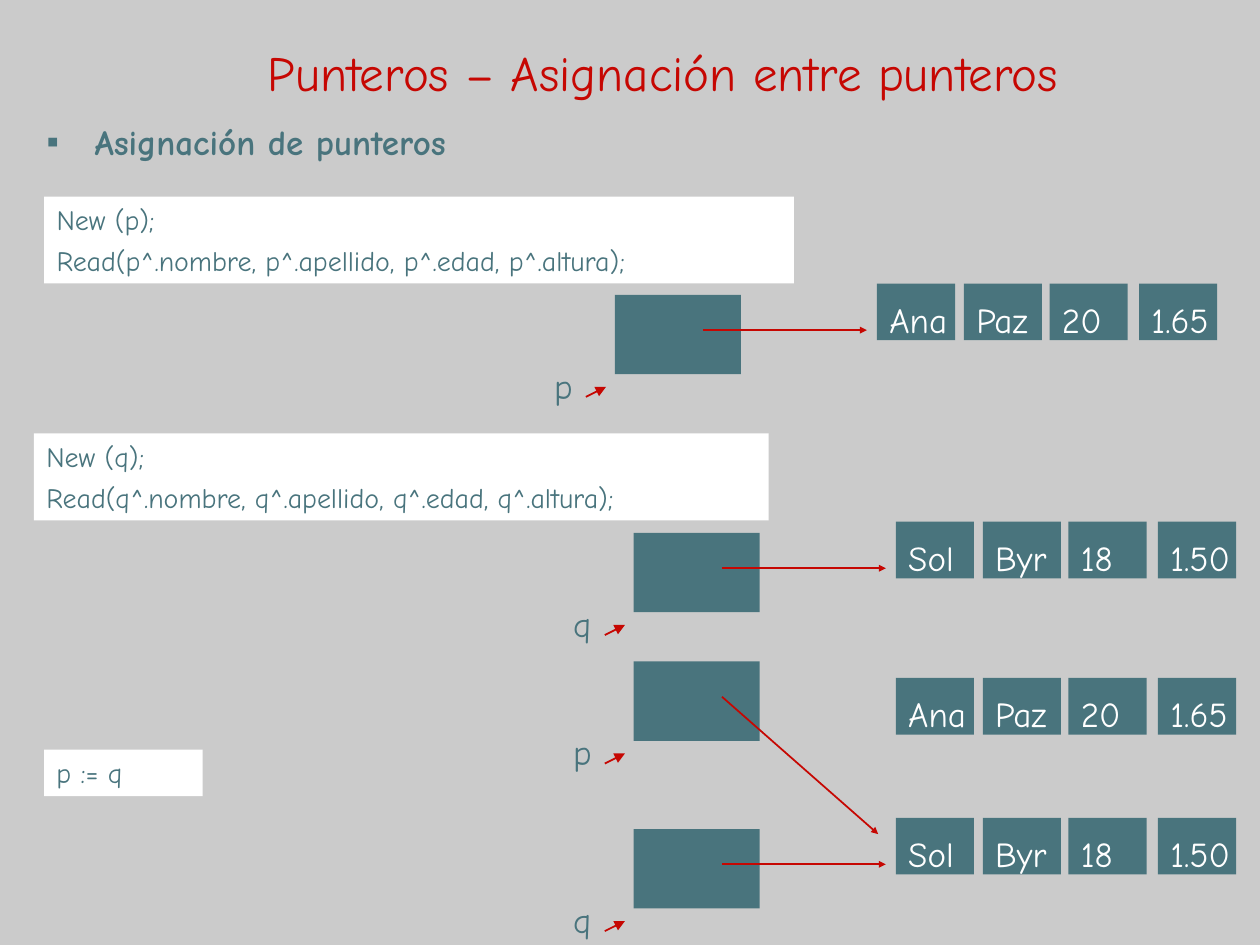
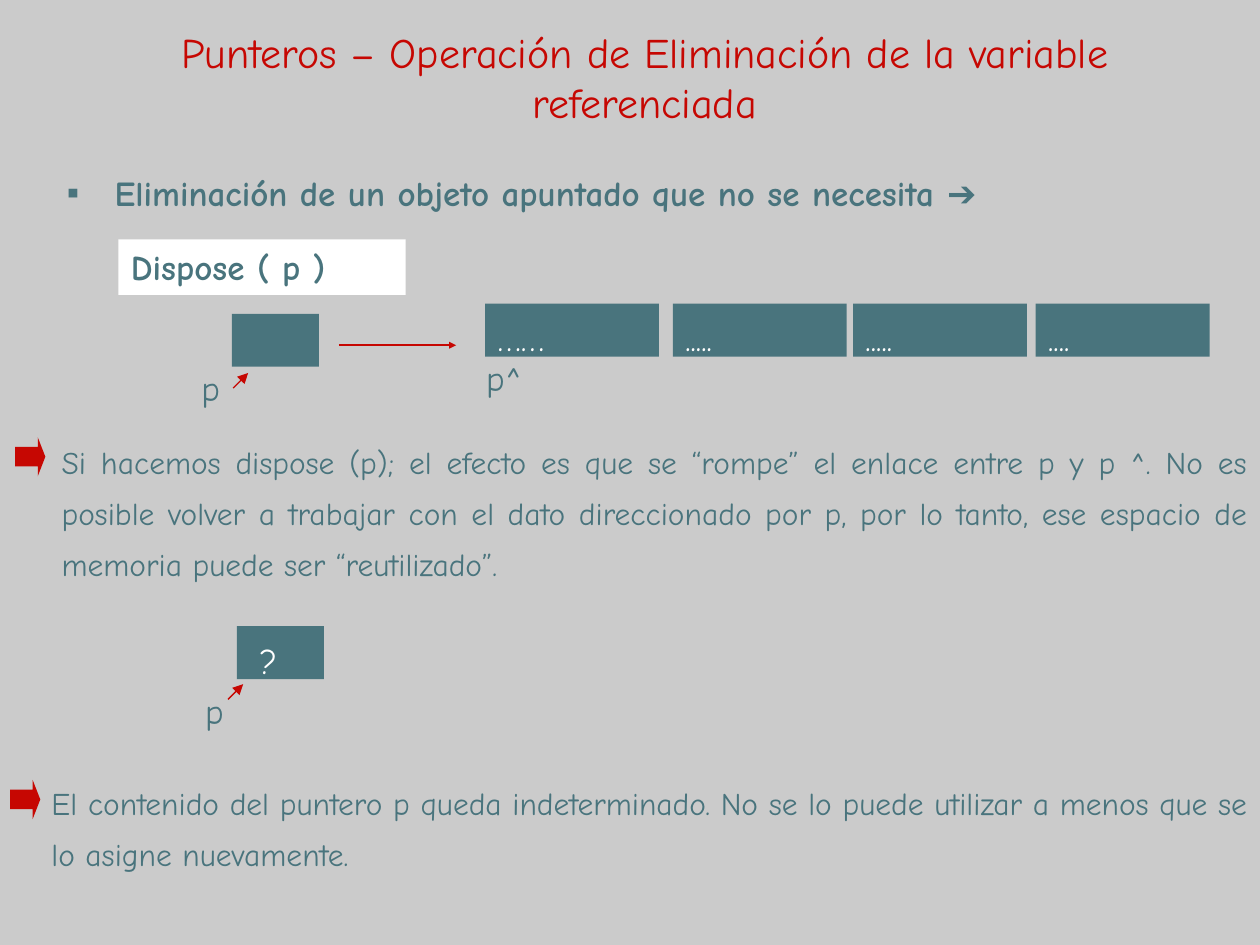
from lxml import etree
from pptx import Presentation
from pptx.dml.color import RGBColor
from pptx.enum import shapes, text
from pptx.oxml.ns import qn
from pptx.util import Inches, Pt

BACK, TEAL, RED, WHITE = "CBCBCB", "49747D", "C60702", "FFFFFF"
FONT, SYMBOL_FONT = "Comic Neue", "Arial"
ALIGN = text.PP_ALIGN

ASSIGNMENT = {
    "title": "Punteros – Asignación entre punteros",
    "title_at": (1.53, 0.25, 7.46, 0.64), "title_size": 28,
    "topic": [("Asignación de punteros", FONT)],
    "topic_at": (0.27, 0.91, 4.06, 0.66),
}
DISPOSAL = {
    "title": "Punteros – Operación de Eliminación de la variable referenciada",
    "title_at": (0.47, 0.21, 9.29, 0.8), "title_size": 24,
    "topic": [("Eliminación de un objeto apuntado que no se necesita ", FONT),
              ("➔", SYMBOL_FONT)],
    "topic_at": (0.43, 1.31, 9.14, 0.51),
}

CODE = [
    ((0.35, 1.56, 5.95, 0.69),
     ["New (p);", "Read(p^.nombre, p^.apellido, p^.edad, p^.altura);"]),
    ((0.27, 3.44, 5.83, 0.69),
     ["New (q);", "Read(q^.nombre, q^.apellido, q^.edad, q^.altura);"]),
    ((0.35, 5.95, 1.26, 0.37), ["p := q"]),
]
ANA = ["Ana", "Paz", "20", "1.65"]
SOL = ["Sol", "Byr", "18", "1.50"]
# name, pointer box corner, record, record top and arrow end from that corner
POINTERS = [
    ("p", (4.88, 2.34), ANA, -0.09, (2.0, 0.28)),
    ("q", (5.03, 4.23), SOL, -0.09, (2.0, 0.28)),
    ("p", (5.03, 5.25), ANA, 0.13, (1.94, 1.37)),
    ("q", (5.03, 6.58), SOL, -0.09, (2.0, 0.28)),
]
FIELD_OFFSETS = [2.08, 2.77, 3.45, 4.16]

FIELDS = [(3.85, "……"), (5.34, "....."), (6.77, "....."), (8.22, "....")]
NAMES = [("p", (1.5, 2.82)), ("p^", (3.76, 2.74)), ("p", (1.53, 5.38))]
NOTES = [
    ((0.39, 3.36, 9.61, 1.32), (0.12, 3.47),
     "Si hacemos dispose (p); el efecto es que se “rompe” el enlace entre p y p ^. "
     "No es posible volver a trabajar con el dato direccionado por p, por lo tanto, "
     "ese espacio de memoria puede ser “reutilizado”."),
    ((0.31, 6.07, 9.69, 0.91), (0.08, 6.19),
     "El contenido del puntero p queda indeterminado. No se lo puede utilizar "
     "a menos que se lo asigne nuevamente."),
]


def rgb(color):
    return RGBColor.from_string(color)


def inches(values):
    return [Inches(v) for v in values]


def add_run(p, words, size, color, bold=False, font=FONT):
    r = p.add_run()
    r.text = words
    r.font.name, r.font.size, r.font.bold = font, Pt(size), bold
    r.font.color.rgb = rgb(color)


def set_frame(sp, anchor=text.MSO_ANCHOR.TOP, wrap=True):
    tf = sp.text_frame
    tf.auto_size = text.MSO_AUTO_SIZE.NONE
    tf.word_wrap, tf.vertical_anchor = wrap, anchor
    tf.margin_left = tf.margin_right = Inches(0.1)
    tf.margin_top = tf.margin_bottom = Inches(0.05)
    return tf


def write(sp, lines, size, color, bold=False, spacing=1.0,
          anchor=text.MSO_ANCHOR.TOP, wrap=True):
    tf = set_frame(sp, anchor, wrap)
    for i, line in enumerate(lines):
        p = tf.add_paragraph() if i else tf.paragraphs[0]
        p.alignment, p.line_spacing = ALIGN.JUSTIFY, spacing
        p.space_before = Pt(4 if i else 0)
        add_run(p, line, size, color, bold)


def write_label(sp, words, color):
    write(sp, [words], 20, color, spacing=1.35,
          anchor=text.MSO_ANCHOR.MIDDLE, wrap=False)


def add_block(s, at, fill=TEAL, kind=shapes.MSO_SHAPE.RECTANGLE):
    sp = s.shapes.add_shape(kind, *inches(at))
    sp.shadow.inherit = False
    sp.fill.solid()
    sp.fill.fore_color.rgb = rgb(fill)
    sp.line.fill.background()
    return sp


def add_cell(s, at, words):
    sp = add_block(s, at)
    write_label(sp, words, WHITE)
    return sp


def add_name(s, at, words):
    write_label(s.shapes.add_textbox(*inches(at)), words, TEAL)


def add_arrow(s, start, end, width=1.0, head="sm"):
    line = s.shapes.add_connector(shapes.MSO_CONNECTOR.STRAIGHT,
                                  *inches(start + end))
    line.line.color.rgb = rgb(RED)
    line.line.width = Pt(width)
    etree.SubElement(line.line._get_or_add_ln(), qn("a:tailEnd"),
                     type="triangle", w=head, len=head)
    etree.SubElement(line._element.spPr, qn("a:effectLst"))


def add_bullet(p):
    pPr = p._p.get_or_add_pPr()
    pPr.set("marL", str(Inches(0.38)))
    pPr.set("indent", str(-Inches(0.38)))
    color = etree.SubElement(pPr, qn("a:buClr"))
    etree.SubElement(color, qn("a:srgbClr"), val=TEAL)
    etree.SubElement(pPr, qn("a:buFont"), typeface=SYMBOL_FONT)
    etree.SubElement(pPr, qn("a:buChar"), char="▪")


def add_slide(prs, heading):
    """Add a slide with its background, title and bulleted topic."""
    s = prs.slides.add_slide(prs.slide_layouts[1])
    s.background.fill.solid()
    s.background.fill.fore_color.rgb = rgb(BACK)
    title, body = s.placeholders
    for sp, key in ((title, "title_at"), (body, "topic_at")):
        sp.left, sp.top, sp.width, sp.height = inches(heading[key])
    p = set_frame(title, text.MSO_ANCHOR.MIDDLE).paragraphs[0]
    p.alignment = ALIGN.CENTER
    add_run(p, heading["title"], heading["title_size"], RED)
    p = set_frame(body).paragraphs[0]
    add_bullet(p)
    p.alignment, p.space_before = ALIGN.LEFT, Pt(0)
    for words, font in heading["topic"]:
        add_run(p, words, 20, TEAL, True, font)
    return s


def add_pointer(s, name, corner, record, record_top, arrow_end):
    x, y = corner
    add_block(s, (x, y, 1, 0.63))
    add_name(s, (x - 0.58, y + 0.46, 0.85, 0.4), name)
    for offset, value in zip(FIELD_OFFSETS, record):
        add_cell(s, (x + offset, y + record_top, 0.62, 0.45), value)
    add_arrow(s, (x + 0.7, y + 0.28), (x + arrow_end[0], y + arrow_end[1]))
    add_arrow(s, (x - 0.23, y + 0.81), (x - 0.07, y + 0.73), head="med")


def build_assignment(prs):
    s = add_slide(prs, ASSIGNMENT)
    for at, lines in CODE:
        write(add_block(s, at, WHITE), lines, 16, TEAL)
    for pointer in POINTERS:
        add_pointer(s, *pointer)


def build_disposal(prs):
    s = add_slide(prs, DISPOSAL)
    write(add_block(s, (0.94, 1.9, 2.28, 0.44), WHITE),
          ["Dispose ( p )"], 20, TEAL, True)
    add_block(s, (1.84, 2.49, 0.69, 0.42))
    for x, dots in FIELDS:
        add_cell(s, (x, 2.41, 1.38, 0.42), dots)
    unknown = add_cell(s, (1.88, 4.97, 0.69, 0.42), "?")
    unknown.text_frame.margin_left = Inches(0.18)
    for name, corner in NAMES:
        add_name(s, corner + (0.54, 0.4), name)
    add_arrow(s, (2.69, 2.74), (3.62, 2.74))
    for x, y in ((1.85, 3.08), (1.81, 5.55)):
        add_arrow(s, (x, y), (x + 0.12, y - 0.12), 0.75, "med")
    for at, marker, words in NOTES:
        write(s.shapes.add_textbox(*inches(at)), [words], 18, TEAL, spacing=1.35)
        sp = add_block(s, marker + (0.24, 0.31), RED, shapes.MSO_SHAPE.RIGHT_ARROW)
        sp.adjustments[0], sp.adjustments[1] = 0.5, 0.25


def main():
    prs = Presentation()
    prs.slide_width, prs.slide_height = Inches(10), Inches(7.5)
    build_assignment(prs)
    build_disposal(prs)
    prs.save("out.pptx")


if __name__ == "__main__":
    main()
